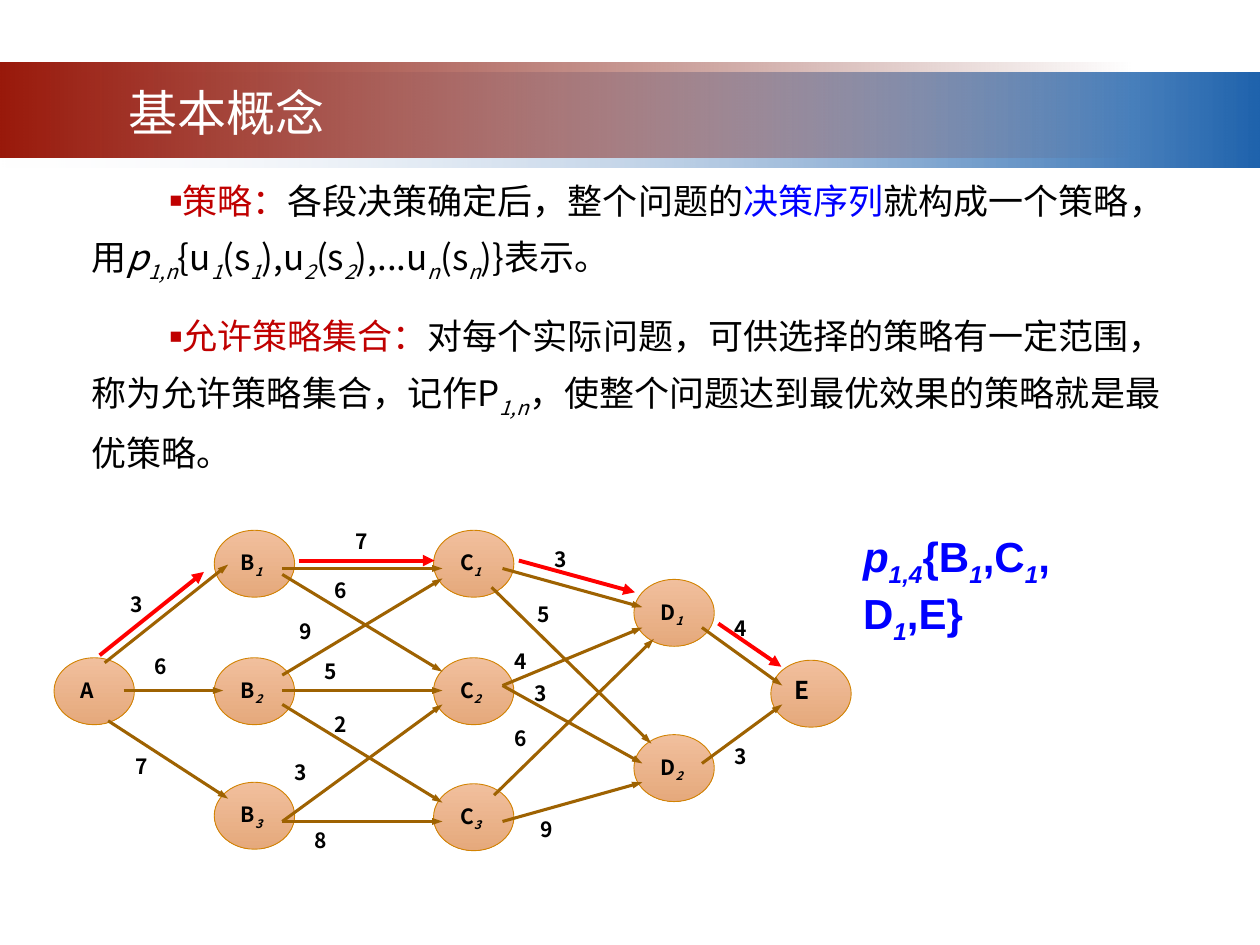
from lxml import etree
from pptx import Presentation
from pptx import util as u
from pptx.dml.color import RGBColor
from pptx.enum import shapes as sh, text as tx
from pptx.oxml import ns

WHITE = RGBColor(0xFF, 0xFF, 0xFF)
BLACK = RGBColor(0, 0, 0)
RED = RGBColor(0xFF, 0, 0)
DARK = RGBColor(0xC0, 0, 0)
BLUE = RGBColor(0, 0, 0xFF)
BROWN = RGBColor(0x9E, 0x62, 0x01)
GOLD = RGBColor(0xD2, 0x83, 0x02)
PEACH = RGBColor(0xF1, 0xBF, 0x9D)
TAN = RGBColor(0xE5, 0xA9, 0x7C)
PALE = RGBColor(0xF1, 0xF2, 0xF7)
NAVY = RGBColor(0x1F, 0x63, 0xAD)
BRICK = RGBColor(0x99, 0x19, 0x0B)
WINE = RGBColor(0x6D, 0x12, 0x08)
SANS = "Noto Sans CJK SC"


def put(item, form):
    for name, value in form.items():
        setattr(item, name, value)


def child(node, tag, **attrs):
    return etree.SubElement(node, ns.qn(tag), attrs)


class Board:
    def __init__(self, slide, font):
        self.slide = slide
        self.font = font

    def blend(self, shape, first, last, angle, clear=None):
        fill = shape.fill
        fill.gradient()
        fill.gradient_angle = angle
        for stop, color in zip(fill.gradient_stops, (first, last)):
            stop.color.rgb = color
        if clear is not None:
            color = list(shape._element.spPr.iter(ns.qn("a:srgbClr")))[clear]
            child(color, "a:alpha", val="0")

    def bar(self, top, width, first, last, clear):
        bar = self.slide.shapes.add_shape(
            sh.MSO_SHAPE.RECTANGLE, 0, u.Cm(top), u.Cm(width), u.Cm(1.9))
        bar.shadow.inherit = False
        bar.line.fill.background()
        self.blend(bar, first, last, 0, clear)

    def ink(self, para, spans, size, font=None, **form):
        face = font or self.font
        for words, color, *extra in spans:
            for i, part in enumerate(words.split("_")):
                if not part:
                    continue
                run = para.add_run()
                run.text = part
                run.font.color.rgb = color
                put(run.font, {"name": face, "size": u.Pt(size), **form})
                props = run._r.get_or_add_rPr()
                child(props, "a:ea", typeface=face)
                if i % 2:
                    props.set("baseline", "-25000")
                if i % 2 or extra:
                    run.font.italic = True

    def label(self, x, y, width, height, spans, size, anchor=tx.MSO_ANCHOR.TOP, **form):
        box = self.slide.shapes.add_textbox(*map(u.Cm, (x, y, width, height)))
        put(box.text_frame, {"word_wrap": True, "vertical_anchor": anchor})
        self.ink(box.text_frame.paragraphs[0], spans, size, **form)

    def body(self, x, y, width, height, paras, size):
        box = self.slide.shapes.add_textbox(*map(u.Cm, (x, y, width, height)))
        frame = box.text_frame
        frame.word_wrap = True
        for i, spans in enumerate(paras):
            para = frame.add_paragraph() if i else frame.paragraphs[0]
            para.line_spacing = 1.3
            if i:
                para.space_before = u.Pt(11)
            props = para._p.get_or_add_pPr()
            props.set("marL", "0")
            props.set("indent", str(u.Cm(1.57)))
            child(props, "a:buSzPct", val="60000")
            child(props, "a:buFont", typeface="Arial")
            child(props, "a:buChar", char="■")
            self.ink(para, spans, size)

    def node(self, x, y, words, size=12, left=0.3, top=0.2):
        node = self.slide.shapes.add_shape(
            sh.MSO_SHAPE.OVAL, *map(u.Cm, (x, y, 1.62, 1.35)))
        node.shadow.inherit = False
        node.line.color.rgb = GOLD
        node.line.width = u.Pt(0.5)
        self.blend(node, PEACH, TAN, 270)
        put(node.text_frame, {
            "margin_left": u.Cm(left), "margin_top": u.Cm(top),
            "margin_right": u.Cm(0.13), "margin_bottom": u.Cm(0.1),
            "vertical_anchor": tx.MSO_ANCHOR.TOP, "word_wrap": True})
        para = node.text_frame.paragraphs[0]
        para.alignment = tx.PP_ALIGN.LEFT
        self.ink(para, [(words, BLACK)], size, bold=True)

    def arrow(self, ends, color, width, head):
        line = self.slide.shapes.add_connector(
            sh.MSO_CONNECTOR.STRAIGHT, *map(u.Cm, ends))
        line.line.color.rgb = color
        line.line.width = u.Pt(width)
        props = line._element.spPr
        child(props.find(ns.qn("a:ln")), "a:tailEnd", type="triangle", w=head, len="med")
        child(props, "a:effectLst")


def main():
    deck = Presentation()
    put(deck, {"slide_width": u.Cm(25.4), "slide_height": u.Cm(19.05)})
    board = Board(deck.slides.add_slide(deck.slide_layouts[6]), SANS)

    board.bar(1.47, 25.4, PALE, NAVY, 0)
    board.bar(1.27, 22.86, BRICK, WINE, 1)
    board.body(1.6, 3.23, 22.3, 6.1, [
        [("策略：", DARK), ("各段决策确定后，整个问题的", BLACK), ("决策序列", BLUE),
         ("就构成一个策略，用", BLACK), ("p", BLACK, "italic"),
         ("_1,n_{u_1_(s_1_),u_2_(s_2_),...u_n_(s_n_)}表示。", BLACK)],
        [("允许策略集合：", DARK),
         ("对每个实际问题，可供选择的策略有一定范围，称为允许策略集合，记作P_1,n_"
          "，使整个问题达到最优效果的策略就是最优策略。", BLACK)],
    ], 20)

    board.node(1.09, 13.26, "A")
    ranks = (("B", 4.32, (10.69, 13.26, 15.77)),
             ("C", 8.74, (10.69, 13.26, 15.8)),
             ("D", 12.78, (11.68, 14.81)))
    for name, x, tops in ranks:
        for i, y in enumerate(tops, 1):
            board.node(x, y, f"{name}_{i}")
    board.node(15.54, 13.31, "E", 14, 0.25, 0.1)

    edges = [(2.11, 13.36, 4.6, 11.38), (2.49, 13.92, 4.5, 13.92),
             (2.18, 14.53, 4.6, 16.1), (9.91, 11.84, 13.13, 14.99),
             (9.96, 16.03, 13.18, 12.88)]
    spans = (
        (5.69, 8.92, ((11.46, 11.46), (13.92, 13.92), (16.56, 16.56), (13.61, 11.66),
                      (14.2, 16.18), (11.58, 13.54), (16.56, 14.2))),
        (10.13, 12.95, ((11.46, 12.24), (13.82, 12.65), (13.82, 15.39), (16.56, 15.77))),
        (14.15, 15.77, ((12.65, 13.82), (15.39, 14.2))))
    for left, right, pairs in spans:
        edges += [(left, start, right, end) for start, end in pairs]
    for ends in edges:
        board.arrow(ends, BROWN, 1.75, "sm")

    costs = ((3, 2.39, 11.81), (6, 2.87, 13.06), (7, 2.49, 15.06),
             (7, 6.91, 10.54), (6, 6.5, 11.51), (9, 5.79, 12.34),
             (5, 6.3, 13.16), (2, 6.5, 14.22), (3, 5.69, 15.19), (8, 6.1, 16.56),
             (3, 10.92, 10.9), (5, 10.59, 12.01), (4, 10.13, 12.95),
             (3, 10.52, 13.59), (6, 10.13, 14.5), (9, 10.64, 16.33),
             (4, 14.55, 12.29), (3, 14.55, 14.86))
    for cost, x, y in costs:
        board.label(x, y, 1.22, 1.17, [(str(cost), BLACK)], 12, bold=True)

    for ends in ((2.01, 13.21, 4.11, 11.53), (6.02, 11.3, 8.76, 11.3),
                 (10.46, 11.3, 12.8, 11.94), (14.48, 12.57, 15.75, 13.44)):
        board.arrow(ends, RED, 2.25, "med")
    board.label(17.15, 10.57, 6, 1.27,
                [("p", BLUE, "italic"), ("_1,4_{B_1_,C_1_, D_1_,E}", BLUE)],
                24, font="Arial", bold=True)
    board.label(2.34, 1.47, 20.52, 1.57, [("基本概念", WHITE)], 28, tx.MSO_ANCHOR.MIDDLE)
    deck.save("out.pptx")


if __name__ == "__main__":
    main()
